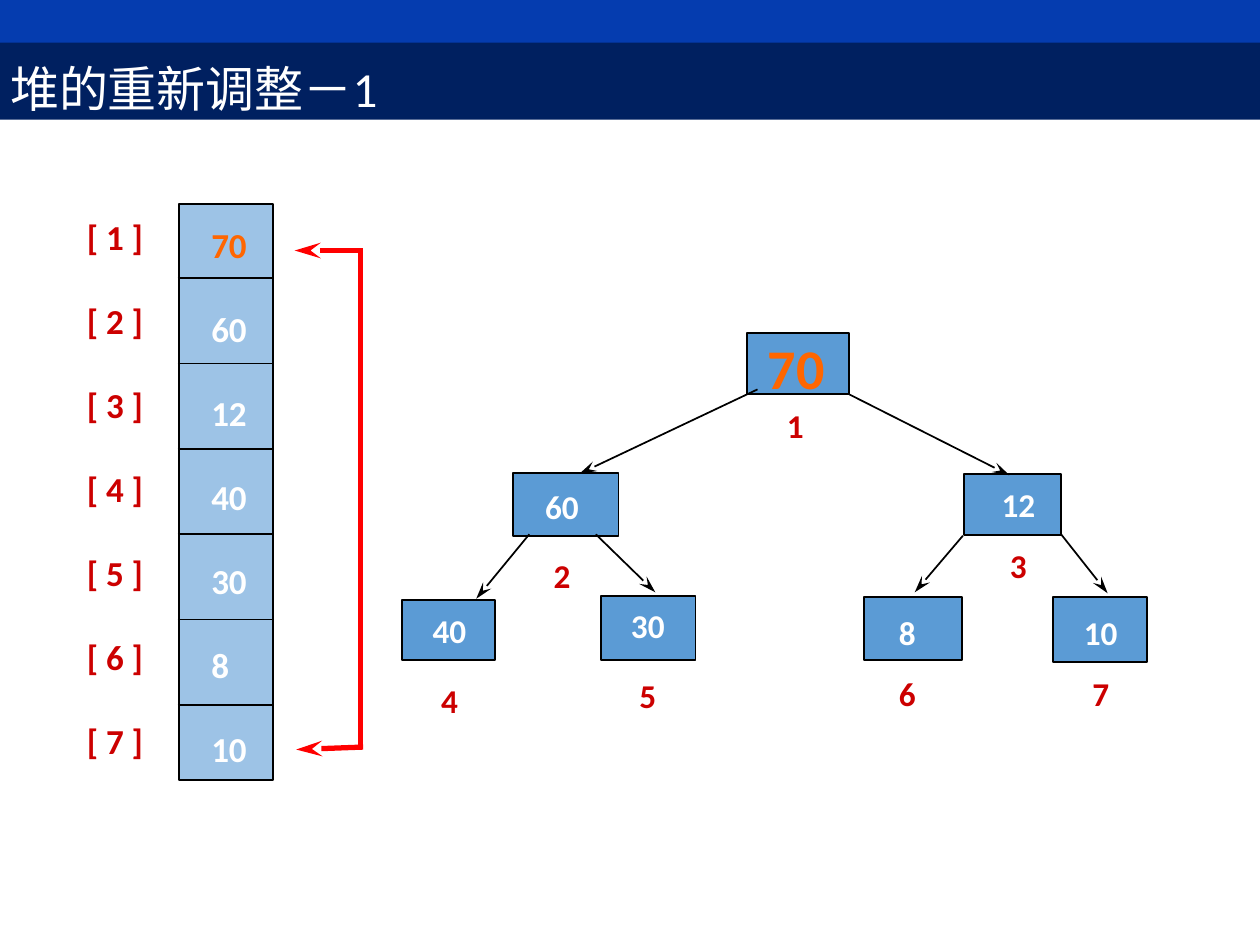
from lxml.etree import SubElement
from pptx import Presentation
from pptx.dml.color import RGBColor
from pptx.enum.shapes import MSO_CONNECTOR as Connector, MSO_SHAPE as Shape
from pptx.enum.text import MSO_ANCHOR as Anchor, MSO_AUTO_SIZE as AutoSize, PP_ALIGN as Align
from pptx.oxml.ns import qn
from pptx.util import Cm, Pt

rgb = RGBColor.from_string


def add_text(left, top, width, height, lines, size, gap=0, align=Align.LEFT, wrap=True):
    tf = s.shapes.add_textbox(Cm(left), Cm(top), Cm(width), Cm(height)).text_frame
    tf.word_wrap = wrap
    tf.margin_top = tf.margin_bottom = Cm(0.12)
    for i, (text, color) in enumerate(lines):
        p = tf.add_paragraph() if i else tf.paragraphs[0]
        p.text = text
        p.alignment = align
        if i:
            p.space_before = Pt(gap)
        p.font.name = "Calibri"
        p.font.size = Pt(size)
        p.font.bold = True
        p.font.color.rgb = rgb(color)


def add_line(x1, y1, x2, y2, color="000000", width=1, arrow=True):
    line = s.shapes.add_connector(Connector.STRAIGHT, Cm(x1), Cm(y1), Cm(x2), Cm(y2))
    line.line.color.rgb = rgb(color)
    line.line.width = Pt(width)
    if arrow:
        SubElement(line.line._get_or_add_ln(), qn("a:headEnd"), type="stealth", w="med", len="lg")
    SubElement(line._element.spPr, qn("a:effectLst"))


prs = Presentation()
prs.slide_width, prs.slide_height = Cm(25.4), Cm(19.05)
s = prs.slides.add_slide(prs.slide_layouts[5])

title = s.shapes.title
title.left, title.top, title.width, title.height = Cm(-0.05), Cm(0.84), Cm(25.45), Cm(1.57)
title.fill.solid()
title.fill.fore_color.rgb = rgb("002060")
tf = title.text_frame
tf.text = "堆的重新调整－1"
tf.auto_size = AutoSize.NONE
tf.vertical_anchor = Anchor.MIDDLE
p = tf.paragraphs[0]
p.alignment = Align.LEFT
p.line_spacing = 1.25
p.font.name = "Calibri"
p.font.size = Pt(28)
p.font.color.rgb = rgb("FFFFFF")

nodes = [
    (15.06, 6.71, 2.06, 1.24),
    (10.34, 9.53, 2.13, 1.27),
    (19.43, 9.55, 1.96, 1.24),
    (8.1, 12.09, 1.88, 1.22),
    (12.12, 12.01, 1.9, 1.3),
    (17.42, 12.04, 1.98, 1.27),
    (21.23, 12.04, 1.9, 1.3),
]
rects = [((0, 0, 25.4, 0.86), "053CAF", False), ((3.61, 4.11, 1.9, 11.61), "9DC3E6", True)]
rects += [(node, "5B9BD5", True) for node in nodes]
for box, fill, outlined in rects:
    sp = s.shapes.add_shape(Shape.RECTANGLE, *map(Cm, box))
    sp.shadow.inherit = False
    sp.fill.solid()
    sp.fill.fore_color.rgb = rgb(fill)
    if outlined:
        sp.line.color.rgb = rgb("000000")
        sp.line.width = Pt(1)
    else:
        sp.line.fill.background()

for i in range(6):
    y = 5.61 + 1.72 * i
    add_line(3.58, y, 5.51, y, arrow=False)

heap = ["70", "60", "12", "40", "30", "8", "10"]
labels = [(f"[ {i} ]", "CC0000") for i in range(1, 8)]
values = [(v, "FFFFFF" if i else "FF6600") for i, v in enumerate(heap)]
add_text(1.5, 4.22, 1.7, 11.38, labels, 20, 24, wrap=False)
add_text(4.01, 4.39, 1.22, 11.38, values, 20, 24, wrap=False)

add_line(7.26, 5.05, 7.26, 15.06, "FF0000", 3, arrow=False)
add_line(5.94, 5.05, 7.32, 5.05, "FF0000", 3)
add_line(5.97, 15.11, 7.32, 15.06, "FF0000", 3)

edges = [
    (11.68, 9.55, 15.27, 7.85),
    (20.35, 9.58, 17.12, 7.95),
    (9.6, 12.07, 10.67, 10.77),
    (13.21, 11.94, 12.01, 10.77),
    (18.44, 11.94, 19.41, 10.8),
    (22.33, 11.96, 21.39, 10.77),
]
for edge in edges:
    add_line(*edge)

add_text(14.75, 6.6, 2.6, 1.57, values[:1], 32, align=Align.CENTER)
add_text(15.48, 8.05, 1.1, 1.02, [("1", "CC0000")], 19, align=Align.CENTER)
captions = [
    (11.33, 9.68, 17),
    (20.53, 9.65, 12),
    (9.06, 12.19, 17),
    (13.06, 12.09, 17),
    (18.29, 12.22, 12),
    (22.19, 12.22, 12),
]
for i, (center, top, gap) in enumerate(captions, 1):
    lines = [values[i], (str(i + 1), "CC0000")]
    add_text(center - 0.7, top, 1.4, 2.35, lines, 19, gap, Align.CENTER)

prs.save("out.pptx")
